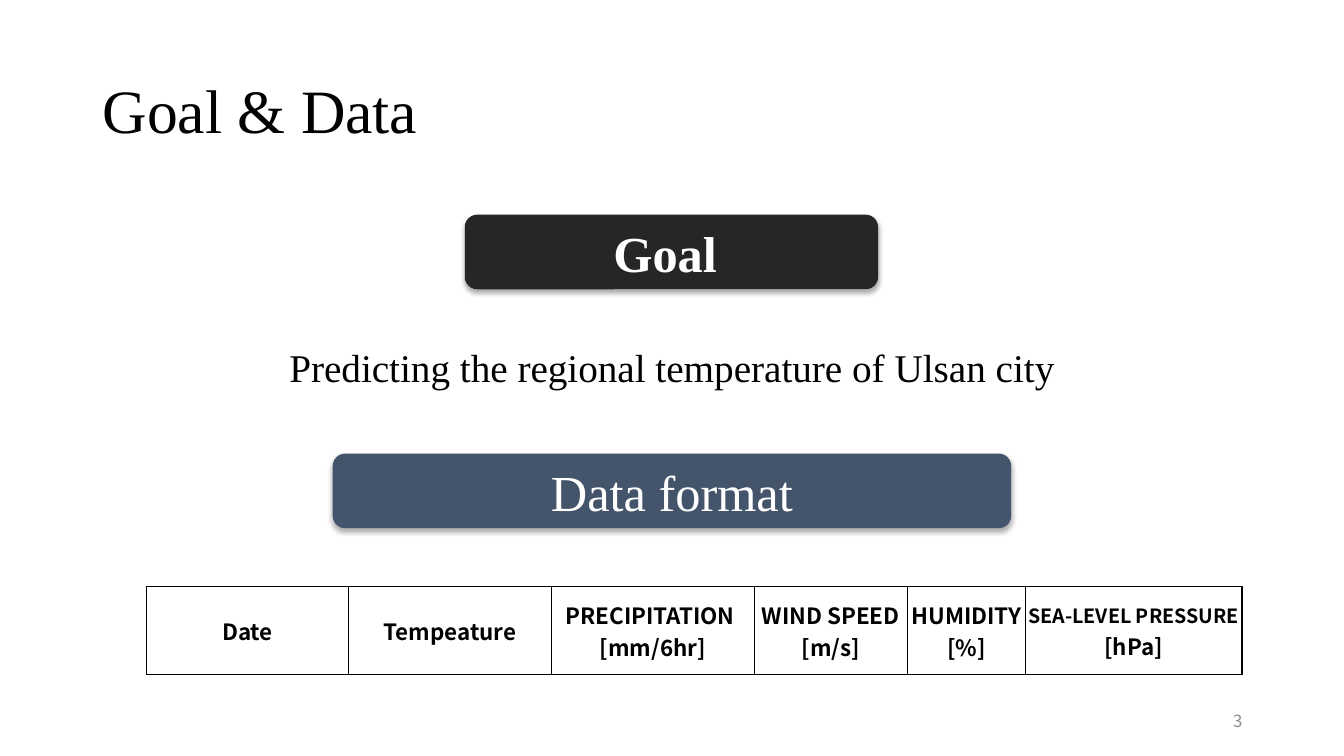
from pptx import Presentation
from pptx.dml.color import RGBColor
from pptx.enum.shapes import MSO_SHAPE
from pptx.enum.text import MSO_ANCHOR, PP_ALIGN
from pptx.oxml import parse_xml
from pptx.oxml.ns import nsdecls, qn
from pptx.util import Inches, Pt

BLACK = RGBColor(0, 0, 0)
WHITE = RGBColor(255, 255, 255)
DARK = RGBColor(0x26, 0x26, 0x26)
SLATE = RGBColor(0x44, 0x54, 0x6A)
GRAY = RGBColor(0x8C, 0x8C, 0x8C)
SERIF = "Times New Roman"
SANS = "Noto Sans CJK KR"

TEXTS = [
    ("Goal & Data", (0.92, 0.4, 11.5, 1.45), SERIF, 44, BLACK, PP_ALIGN.LEFT),
    ("Predicting the regional temperature of Ulsan city",
     (2.15, 3.35, 9.03, 0.57), SERIF, 28, BLACK, PP_ALIGN.CENTER),
    ("3", (9.42, 6.95, 3, 0.4), SANS, 12, GRAY, PP_ALIGN.RIGHT),
]
BARS = [
    ("Goal ", (4.61, 2.13, 4.1, 0.74), DARK, True),
    ("Data format", (3.3, 4.5, 6.73, 0.74), SLATE, False),
]
HEADS = [
    (2.01, [("Date", 16)]),
    (2.01, [("Tempeature", 16)]),
    (2.01, [("PRECIPITATION \v[mm/6hr]", 16)]),
    (1.52, [("WIND SPEED [m/s]", 16)]),
    (1.17, [("HUMIDITY [%]", 16)]),
    (2.15, [("SEA-LEVEL PRESSURE ", 14), ("[hPa]", 16)]),
]
TABLE = (1.45, 5.82, 10.88, 0.87)


def place(box):
    return [Inches(n) for n in box]


def style(para, face, size, color, align, bold=False):
    para.alignment = align
    font = para.font
    font.name, font.size, font.bold = face, Pt(size), bold
    font.color.rgb = color


def add_text(slide, text, box, face, size, color, align):
    frame = slide.shapes.add_textbox(*place(box)).text_frame
    frame.word_wrap = True
    frame.vertical_anchor = MSO_ANCHOR.MIDDLE
    para = frame.paragraphs[0]
    para.text = text
    style(para, face, size, color, align)
    if size == 44:
        para.line_spacing = 0.9


def add_bar(slide, text, box, fill, bold):
    bar = slide.shapes.add_shape(MSO_SHAPE.ROUNDED_RECTANGLE, *place(box))
    bar.fill.solid()
    bar.fill.fore_color.rgb = fill
    bar.line.fill.background()
    bar.shadow.inherit = False
    bar._element.spPr.find(qn("a:effectLst")).append(parse_xml(
        f'<a:outerShdw {nsdecls("a")} blurRad="{Pt(3.5)}" dist="{Pt(2.2)}" '
        'dir="5400000" algn="t" rotWithShape="0"><a:srgbClr val="000000">'
        '<a:alpha val="32000"/></a:srgbClr></a:outerShdw>'))
    frame = bar.text_frame
    frame.vertical_anchor = MSO_ANCHOR.MIDDLE
    para = frame.paragraphs[0]
    para.text = text
    style(para, SERIF, 36, WHITE, PP_ALIGN.CENTER, bold)


def add_border(cell):
    props = cell._tc.get_or_add_tcPr()
    for spot, side in enumerate(("lnL", "lnR", "lnT", "lnB")):
        props.insert(spot, parse_xml(
            f'<a:{side} {nsdecls("a")} w="{Pt(1)}"><a:solidFill>'
            f'<a:srgbClr val="{BLACK}"/></a:solidFill></a:{side}>'))


def fill_cell(cell, parts):
    cell.fill.solid()
    cell.fill.fore_color.rgb = WHITE
    cell.vertical_anchor = MSO_ANCHOR.MIDDLE
    cell.margin_left = cell.margin_right = cell.margin_top = Inches(0.01)
    cell.margin_bottom = 0
    para = cell.text_frame.paragraphs[0]
    style(para, SANS, 16, BLACK, PP_ALIGN.CENTER, True)
    if len(parts) == 1:
        para.text = parts[0][0]
    else:
        for text, size in parts:
            run = para.add_run()
            run.text = text
            run.font.size = Pt(size)
    add_border(cell)


def add_heads(slide):
    table = slide.shapes.add_table(1, len(HEADS), *place(TABLE)).table
    table.first_row = table.horz_banding = False
    for col, (width, parts) in enumerate(HEADS):
        table.columns[col].width = Inches(width)
        fill_cell(table.cell(0, col), parts)


def main():
    deck = Presentation()
    deck.slide_width, deck.slide_height = Inches(13.33), Inches(7.5)
    slide = deck.slides.add_slide(deck.slide_layouts[6])
    for bar in BARS:
        add_bar(slide, *bar)
    add_heads(slide)
    for text in TEXTS:
        add_text(slide, *text)
    deck.save("out.pptx")


if __name__ == "__main__":
    main()
